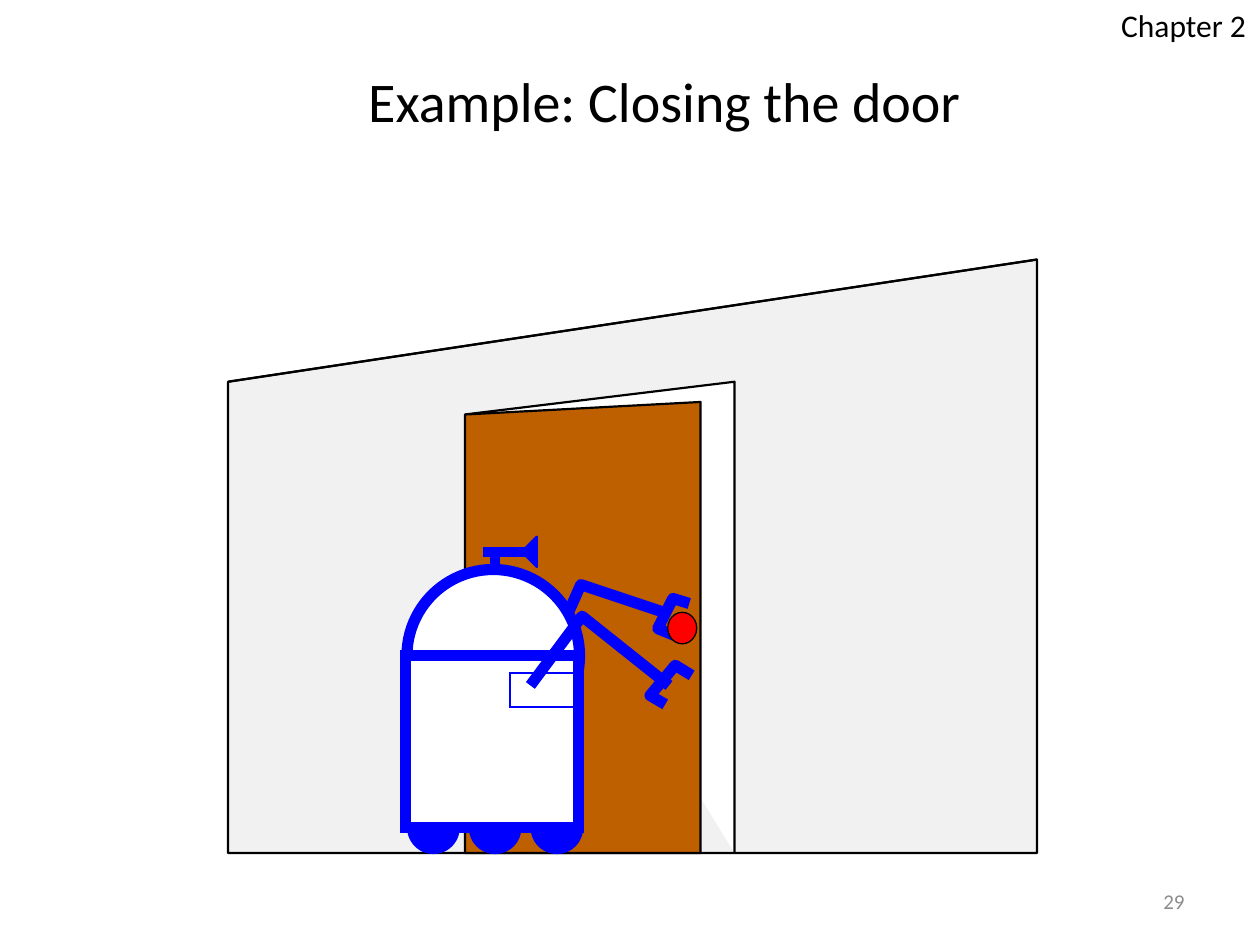
from pptx import Presentation
from pptx.dml.color import RGBColor
from pptx.enum.shapes import MSO_CONNECTOR, MSO_SHAPE as SHAPE
from pptx.enum.text import MSO_ANCHOR as ANCHOR, MSO_AUTO_SIZE as AUTO, PP_ALIGN as ALIGN
from pptx.oxml.ns import qn
from pptx.util import Inches, Pt
from lxml.etree import SubElement

BLACK = RGBColor(0, 0, 0)
WHITE = RGBColor(255, 255, 255)
GRAY = RGBColor(0x8C, 0x8C, 0x8C)
WALL = RGBColor(0xF1, 0xF1, 0xF1)
DOOR = RGBColor(0xBE, 0x5F, 0x00)
BLUE = RGBColor(0, 0, 255)
RED = RGBColor(255, 0, 0)
THIN, THICK = 1.25, 6.38
RECT, OVAL = SHAPE.RECTANGLE, SHAPE.OVAL


def paint(sp, fill, color, width):
    sp.shadow.inherit = False
    if fill is None:
        sp.fill.background()
    else:
        sp.fill.solid()
        sp.fill.fore_color.rgb = fill
    if color is None:
        sp.line.fill.background()
    else:
        sp.line.color.rgb = color
        sp.line.width = Pt(width)


def draw(kind, geometry, fill=None, color=None, width=THIN):
    if kind == "poly":
        pts = [(Inches(x), Inches(y)) for x, y in geometry]
        closed = pts[0] == pts[-1]
        fb = s.shapes.build_freeform(*pts[0], scale=1.0)
        fb.add_line_segments(pts[1:-1] if closed else pts[1:], close=closed)
        sp = fb.convert_to_shape()
    else:
        sp = s.shapes.add_shape(kind, *map(Inches, geometry))
    paint(sp, fill, color, width)
    if kind == RECT and color is not None:
        SubElement(sp._element.spPr.find(qn("a:ln")), qn("a:miter"), lim="800000")


prs = Presentation()
prs.slide_width, prs.slide_height = Inches(10), Inches(7.5)
s = prs.slides.add_slide(prs.slide_layouts[5])

title = s.shapes.title
number = s.shapes.add_textbox(0, 0, 0, 0)
chapter = s.shapes.add_textbox(0, 0, 0, 0)
texts = [
    (title, "Example: Closing the door", (0.67, 0.48, 9.21, 0.63), 32, BLACK, ALIGN.CENTER,
     {"vertical_anchor": ANCHOR.MIDDLE, "word_wrap": True, "auto_size": AUTO.NONE}),
    (number, "29", (7.17, 6.95, 2.33, 0.4), 12, GRAY, ALIGN.RIGHT,
     {"vertical_anchor": ANCHOR.MIDDLE, "word_wrap": True}),
    (chapter, "Chapter 2", (8.8, 0, 1.2, 0.4), 18, BLACK, ALIGN.LEFT,
     {"word_wrap": False, "auto_size": AUTO.SHAPE_TO_FIT_TEXT}),
]
for sp, text, box, size, color, align, frame in texts:
    sp.left, sp.top, sp.width, sp.height = map(Inches, box)
    tf = sp.text_frame
    for name, value in frame.items():
        setattr(tf, name, value)
    p = tf.paragraphs[0]
    p.alignment = align
    r = p.add_run()
    r.text = text
    for name, value in {"name": "Calibri", "size": Pt(size)}.items():
        setattr(r.font, name, value)
    r.font.color.rgb = color

left, right, floor = 1.81, 8.23, 6.77
wall = [(left, floor), (left, 3.03), (right, 2.06), (right, floor), (left, floor)]
hinge = (3.69, 3.29)
frame = [hinge, (5.83, 3.03), (5.83, floor)]
door = [(3.69, floor), hinge, (5.56, 3.19), (5.56, floor), (3.69, floor)]
draw("poly", wall, WALL, BLACK)
draw("poly", frame + [hinge], WHITE)
draw("poly", frame, None, BLACK)
draw("poly", door, DOOR, BLACK)

for start, end in [(wall[0], wall[3]), (wall[1], wall[2])]:
    edge = s.shapes.add_connector(MSO_CONNECTOR.STRAIGHT, *map(Inches, start + end))
    edge.line.color.rgb = BLACK
    edge.line.width = Pt(THIN)
    SubElement(edge._element.spPr, qn("a:effectLst"))

draw(RECT, (3.9, 4.41, 0.06, 0.12), BLUE, BLUE)
draw(RECT, (3.84, 4.35, 0.36, 0.06), BLUE, BLUE)
draw("poly", [(4.14, 4.38), (4.26, 4.26), (4.26, 4.5), (4.14, 4.38)], BLUE, BLUE)

far_arm = [(4.27, 5.41), (4.61, 4.64), (5.3, 4.87)]
near_arm = [(4.21, 5.44), (4.62, 4.89), (5.31, 5.44)]
near_hand = [(5.28, 5.59), (5.16, 5.52), (5.36, 5.28), (5.49, 5.36)]
far_hand = [(5.37, 5.05), (5.22, 4.99), (5.34, 4.75), (5.47, 4.79)]
draw("poly", far_arm, None, BLUE, THICK)
draw(OVAL, (3.23, 4.52, 1.37, 1.37), WHITE, BLUE, THICK)
for i in range(3):
    draw(OVAL, (3.24 + 0.49 * i, 6.37, 0.4, 0.4), BLUE, BLUE)
draw(RECT, (3.22, 5.2, 1.37, 1.37), WHITE, BLUE, THICK)
draw(RECT, (4.05, 5.34, 0.55, 0.27), None, BLUE)
for limb in (near_arm, near_hand, far_hand):
    draw("poly", limb, None, BLUE, THICK)
draw(OVAL, (5.3, 4.86, 0.23, 0.25), RED, BLACK, 0.75)

prs.save("out.pptx")
